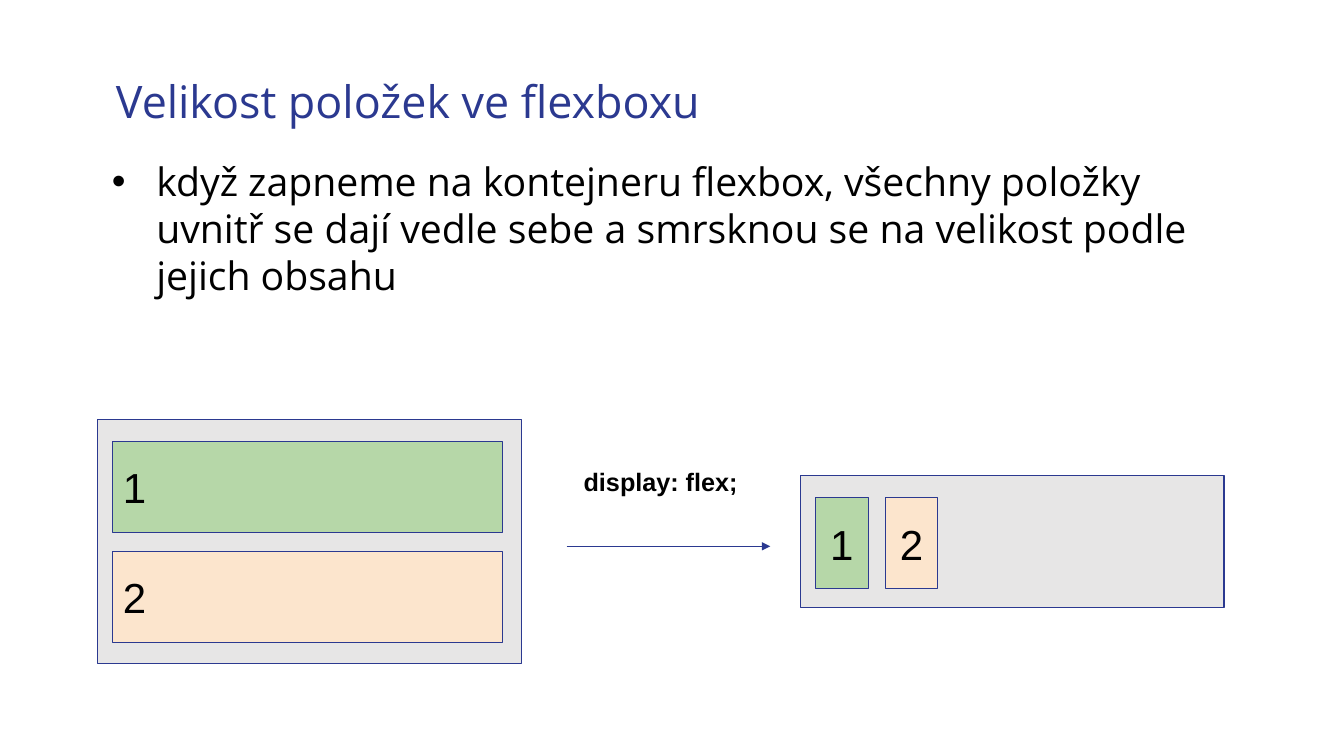
from dataclasses import dataclass

from lxml import etree
from pptx import Presentation, util as u
from pptx.dml.color import RGBColor
from pptx.enum import shapes, text
from pptx.oxml.ns import qn

PX = 9144  # EMU per px, 100 px to the inch
COLORS = {
    "ink": "000000",
    "navy": "2B3990",
    "gray": "E7E6E6",
    "green": "B6D7A8",
    "peach": "FCE5CD",
}


@dataclass
class Box:
    left: int
    top: int
    width: int
    height: int
    fill: str
    label: str = ""
    align: text.PP_ALIGN = text.PP_ALIGN.LEFT


def px(length: int) -> u.Emu:
    return u.Emu(length * PX)


def color(name: str) -> RGBColor:
    return RGBColor.from_string(COLORS[name])


def write(shape, content: str, font: str, size: int, ink: str = "ink",
          align=text.PP_ALIGN.LEFT, anchor=text.MSO_ANCHOR.MIDDLE,
          margins: tuple = (10, 10, 10, 10)):
    frame = shape.text_frame
    frame.word_wrap = True
    frame.auto_size = text.MSO_AUTO_SIZE.NONE
    frame.vertical_anchor = anchor
    (frame.margin_left, frame.margin_top,
     frame.margin_right, frame.margin_bottom) = map(px, margins)
    frame.text = content
    paragraph = frame.paragraphs[0]
    paragraph.alignment = align
    run_font = paragraph.runs[0].font
    run_font.name, run_font.size = font, u.Pt(size)
    run_font.color.rgb = color(ink)
    return paragraph


def style_line(shape) -> None:
    shape.line.color.rgb = color("navy")
    shape.line.width = u.Pt(0.75)


def draw_box(slide, box: Box) -> None:
    shape = slide.shapes.add_shape(
        shapes.MSO_SHAPE.FLOWCHART_PROCESS,
        *map(px, (box.left, box.top, box.width, box.height)))
    shape.shadow.inherit = False
    shape.fill.solid()
    shape.fill.fore_color.rgb = color(box.fill)
    style_line(shape)
    if box.label:
        write(shape, box.label, "Arial", 30, align=box.align)


def draw_arrow(slide, left: int, right: int, top: int) -> None:
    arrow = slide.shapes.add_connector(
        shapes.MSO_CONNECTOR.STRAIGHT, px(left), px(top), px(right), px(top))
    style_line(arrow)
    etree.SubElement(arrow.line._get_or_add_ln(), qn("a:tailEnd"), type="triangle")
    etree.SubElement(arrow._element.spPr, qn("a:effectLst"))


def add_bullet(paragraph, indent: int, hanging: int) -> None:
    properties = paragraph._p.get_or_add_pPr()
    properties.set("marL", str(px(indent)))
    properties.set("indent", str(-px(hanging)))
    etree.SubElement(properties, qn("a:buFont"), typeface="Arial")
    etree.SubElement(properties, qn("a:buChar"), char="•")


def main() -> None:
    presentation = Presentation()
    presentation.slide_width, presentation.slide_height = px(1333), px(750)
    slide = presentation.slides.add_slide(presentation.slide_layouts[5])

    # Title
    title = slide.shapes.title
    title.left, title.top, title.width, title.height = map(px, (105, 58, 910, 90))
    heading = write(title, "Velikost položek ve flexboxu", "Open Sans", 32, "navy")
    heading.line_spacing = 0.9

    # Explanation
    body = slide.shapes.add_textbox(*map(px, (105, 151, 1108, 188)))
    explanation = write(
        body,
        "když zapneme na kontejneru flexbox, všechny položky uvnitř se dají "
        "vedle sebe a smrsknou se na velikost podle jejich obsahu",
        "Open Sans", 28, anchor=text.MSO_ANCHOR.TOP, margins=(0, 5, 0, 0))
    add_bullet(explanation, 50, 44)

    # Containers with stacked items (before) and items in a row (after)
    items = [("1", "green"), ("2", "peach")]
    before = [Box(112, 438 + 109 * i, 386, 90, fill, label)
              for i, (label, fill) in enumerate(items)]
    after = [Box(809 + 69 * i, 494, 52, 90, fill, label, text.PP_ALIGN.CENTER)
             for i, (label, fill) in enumerate(items)]
    for box in [Box(97, 416, 420, 242, "gray"), *before,
                Box(794, 472, 420, 131, "gray"), *after]:
        draw_box(slide, box)

    # Arrow and its caption
    draw_arrow(slide, 562, 764, 542)
    caption = slide.shapes.add_textbox(*map(px, (569, 453, 189, 51)))
    declaration = write(caption, "display: flex;", "Arial", 18,
                        anchor=text.MSO_ANCHOR.TOP)
    declaration.runs[0].font.bold = True

    presentation.save("out.pptx")


if __name__ == "__main__":
    main()
